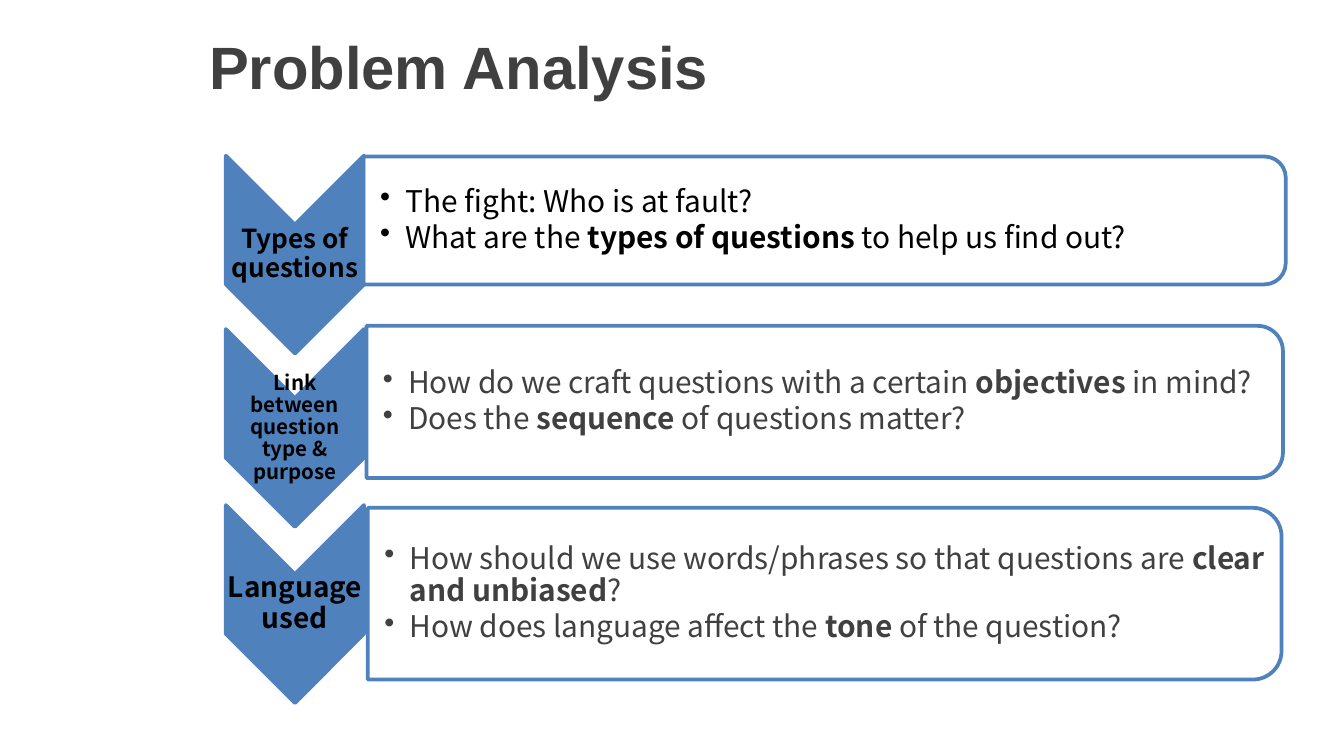
import pptx
import pptx.dml.color
import pptx.enum.shapes
import pptx.enum.text
import pptx.oxml
import pptx.oxml.ns
import pptx.util

Pt = pptx.util.Pt
SHAPES = pptx.enum.shapes.MSO_SHAPE
ALIGN = pptx.enum.text.PP_ALIGN
COLOURS = {"blue": "4F81BD", "white": "FFFFFF", "black": "000000", "grey": "404040"}
BODY_FONT = "Noto Sans CJK KR"

deck = pptx.Presentation()
deck.slide_width, deck.slide_height = Pt(720), Pt(405)
page = deck.slides.add_slide(deck.slide_layouts[6])


def add_text(paragraphs, left, top, width, height, size, colour="black", font=BODY_FONT,
             align=ALIGN.LEFT, insets=(0.9, 0.9), spacing=0.9, bullets=False):
    """Add a text box; each paragraph is a list of (text, bold) pairs."""
    box = page.shapes.add_textbox(Pt(left), Pt(top), Pt(width), Pt(height))
    frame = box.text_frame
    frame.word_wrap = True
    frame.vertical_anchor = pptx.enum.text.MSO_ANCHOR.MIDDLE
    frame.margin_left, frame.margin_right = Pt(insets[0]), Pt(insets[1])
    frame.margin_top = frame.margin_bottom = Pt(0.9)
    for index, pieces in enumerate(paragraphs):
        para = frame.add_paragraph() if index else frame.paragraphs[0]
        para.alignment = align
        para.line_spacing = spacing
        if bullets:
            para.space_after = Pt(2)
            properties = para._p.get_or_add_pPr()
            properties.set("marL", str(Pt(13.5)))
            properties.set("indent", str(-Pt(13.5)))
            bullet = pptx.oxml.ns.qn("a:buChar")
            properties.append(properties.makeelement(bullet, {"char": "•"}))
        for text, bold in pieces:
            span = para.add_run()
            span.text = text
            span.font.name = font
            span.font.size = Pt(size)
            span.font.bold = bold
            span.font.color.rgb = pptx.dml.color.RGBColor.from_string(COLOURS[colour])


def add_turned_shape(kind, centre_x, centre_y, width, height, fill):
    """Add a shape turned a quarter; width and height are as they show."""
    shape = page.shapes.add_shape(kind, Pt(centre_x - height / 2), Pt(centre_y - width / 2),
                                  Pt(height), Pt(width))
    shape.rotation = 90
    shape.shadow.inherit = False
    shape.fill.solid()
    shape.fill.fore_color.rgb = pptx.dml.color.RGBColor.from_string(COLOURS[fill])
    shape.line.color.rgb = pptx.dml.color.RGBColor.from_string(COLOURS["blue"])
    shape.line.width = Pt(2)
    return shape


# Title
add_text([[("Problem Analysis", True)]], 105, 0, 592.5, 70, 32, colour="grey",
         font="Arial", insets=(7.2, 7.2), spacing=1.0)

# Rows: label, label size, chevron centre, panel centre, panel width and height,
# text colour, questions
rows = [
    ("Types of questions", 14, 136.4, 118.1, 494, 68.5, "black", [
        [("The fight: Who is at fault?", False)],
        [("What are the ", False), ("types of questions", True),
         (" to help us find out?", False)]]),
    ("Link between question type & purpose", 11, 229.3, 215.3, 491, 81.5, "grey", [
        [("How do we craft questions with a certain ", False), ("objectives", True),
         (" in mind?", False)],
        [("Does the ", False), ("sequence", True), (" of questions matter?", False)]]),
    ("Language used", 15, 323.6, 318.1, 489.5, 92, "grey", [
        [("How should we use words/phrases so that questions are ", False),
         ("clear and unbiased", True), ("?", False)],
        [("How does language affect the ", False), ("tone", True),
         (" of the question?", False)]]),
]
CHEVRON_X, PANEL_X = 158, 441.8
CHEVRON_WIDTH, CHEVRON_HEIGHT, LABEL_HEIGHT = 74, 106, 31.7

for label, size, chevron_y, panel_y, width, height, colour, questions in rows:
    # Chevron and its label
    add_turned_shape(SHAPES.CHEVRON, CHEVRON_X, chevron_y, CHEVRON_WIDTH, CHEVRON_HEIGHT, "blue")
    add_text([[(label, True)]], CHEVRON_X - CHEVRON_WIDTH / 2, chevron_y - LABEL_HEIGHT / 2,
             CHEVRON_WIDTH, LABEL_HEIGHT, size, align=ALIGN.CENTER)

    # Panel, slightly transparent, and its questions
    panel = add_turned_shape(SHAPES.ROUND_2_SAME_RECTANGLE, PANEL_X, panel_y, width, height,
                             "white")
    tint = panel._element.spPr.find(".//" + pptx.oxml.ns.qn("a:srgbClr"))
    tint.append(tint.makeelement(pptx.oxml.ns.qn("a:alpha"), {"val": "90000"}))
    add_text(questions, PANEL_X - width / 2, panel_y - 0.45 * height, width - 3.6, 0.9 * height,
             16, colour=colour, insets=(8.9, 0.9), bullets=True)

deck.save("out.pptx")
